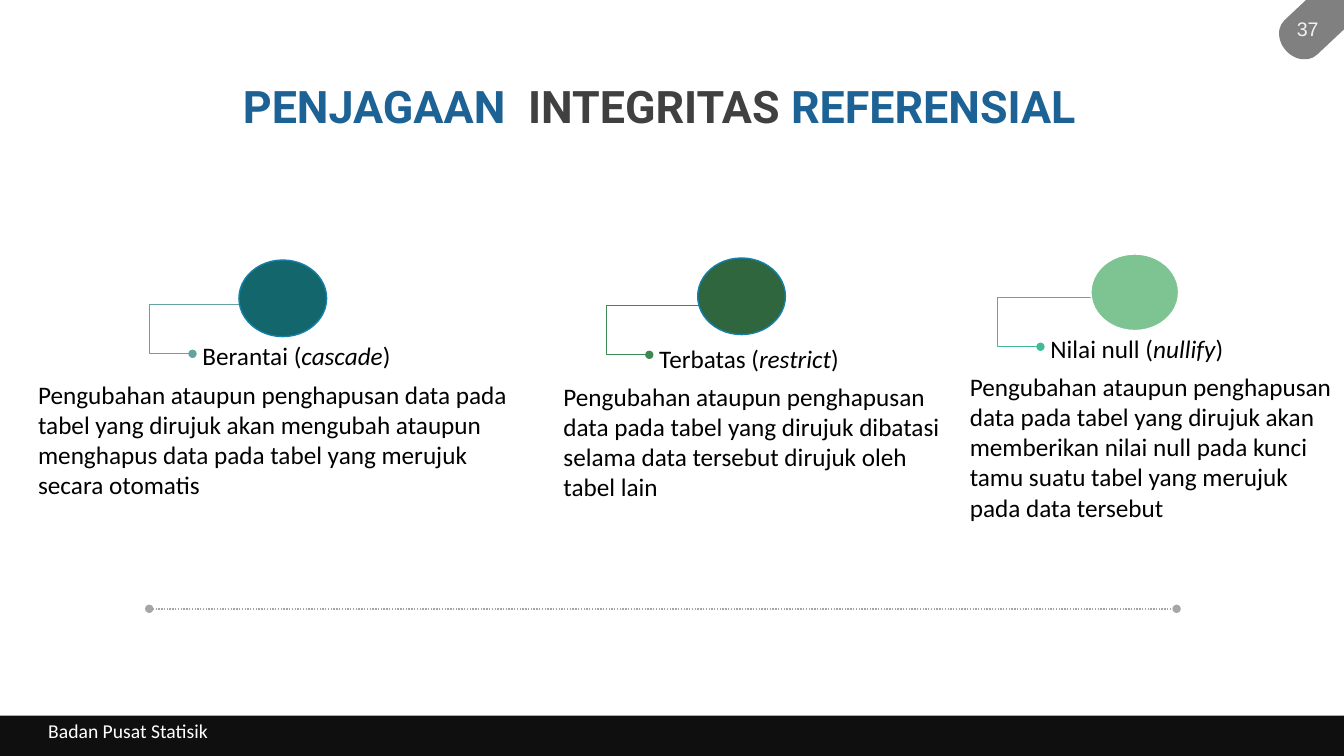
from dataclasses import dataclass

from lxml import etree
from pptx import Presentation
from pptx import util as u
from pptx.dml import color
from pptx.enum import dml, shapes, text
from pptx.oxml import ns


@dataclass(frozen=True)
class Theme:
    heading: str = "Roboto"
    body: str = "Calibri"
    number: str = "Arial"
    title_size: int = 32
    body_size: int = 18
    small_size: int = 14
    blue: str = "1D6294"
    dark: str = "404040"
    black: str = "000000"
    white: str = "FFFFFF"
    bar: str = "0F0F0F"
    badge: str = "808080"
    badge_text: str = "F2F2F2"
    rule: str = "A6A6A6"
    outline: str = "1580A9"


def rgb(value):
    return color.RGBColor.from_string(value)


def add_run(p, content, font, size, fill, bold=False, italic=False):
    r = p.add_run()
    r.text = content
    f = r.font
    f.name, f.size, f.bold, f.italic = font, u.Pt(size), bold, italic
    f.color.rgb = rgb(fill)


class SlideBuilder:
    def __init__(self, prs, theme):
        self.theme = theme
        self.s = prs.slides.add_slide(prs.slide_layouts[5])

    def title(self, box, parts):
        t = self.theme
        sp = self.s.shapes.title
        sp.left, sp.top, sp.width, sp.height = map(u.Inches, box)
        tf = sp.text_frame
        tf.auto_size = text.MSO_AUTO_SIZE.NONE
        tf.word_wrap = True
        tf.vertical_anchor = text.MSO_ANCHOR.TOP
        p = tf.paragraphs[0]
        p.alignment = text.PP_ALIGN.CENTER
        for content, fill in parts:
            add_run(p, content, t.heading, t.title_size, fill, bold=True)

    def shape(self, kind, box, fill, line=None, rotation=0):
        sp = self.s.shapes.add_shape(kind, *map(u.Inches, box))
        sp.shadow.inherit = False
        sp.rotation = rotation
        sp.fill.solid()
        sp.fill.fore_color.rgb = rgb(fill)
        if line:
            sp.line.color.rgb = rgb(line)
            sp.line.width = u.Pt(1)
        else:
            sp.line.fill.background()

    def label(self, box, parts, wrap=True, align=None, spacing=None, **style):
        t = self.theme
        look = dict(font=t.body, size=t.body_size, fill=t.black) | style
        tf = self.s.shapes.add_textbox(*map(u.Inches, box)).text_frame
        tf.word_wrap = wrap
        p = tf.paragraphs[0]
        p.alignment, p.line_spacing = align, spacing
        for content, italic in parts:
            add_run(p, content, italic=italic, **look)

    def connector(self, kind, start, end, fill, width, ends, bend=None, dash=None):
        cx = self.s.shapes.add_connector(kind, *map(u.Inches, start + end))
        cx.line.color.rgb = rgb(fill)
        cx.line.width = u.Pt(width)
        if dash:
            cx.line.dash_style = dash
        props = cx.line._get_or_add_ln()
        for end_name in ends:
            etree.SubElement(props, ns.qn(f"a:{end_name}"), type="oval")
        sp_pr = cx._element.spPr
        etree.SubElement(sp_pr, ns.qn("a:effectLst"))
        if bend:
            guides = sp_pr.find(ns.qn("a:prstGeom")).get_or_add_avLst()
            etree.SubElement(guides, ns.qn("a:gd"), name="adj1",
                             fmla=f"val {round(bend * 100000)}")


def main():
    prs = Presentation()
    prs.slide_width, prs.slide_height = u.Inches(13.33), u.Inches(7.5)
    t = Theme()
    b = SlideBuilder(prs, t)
    kinds, lines = shapes.MSO_SHAPE, shapes.MSO_CONNECTOR

    b.shape(kinds.FLOWCHART_STORED_DATA, (12.6, -0.13, 1.17, 0.47), t.badge,
            rotation=316.8)
    b.label((12.74, 0.12, 0.46, 0.34), [("37", False)], align=text.PP_ALIGN.CENTER,
            font=t.number, size=t.small_size, fill=t.badge_text)
    b.title((1.34, 0.73, 10.4, 0.82),
            [("PENJAGAAN  ", t.blue), ("INTEGRITAS ", t.dark), ("REFERENSIAL", t.blue)])
    b.connector(lines.STRAIGHT, (1.48, 6.04), (11.67, 6.04), t.rule, 1,
                ("headEnd", "tailEnd"), dash=dml.MSO_LINE.ROUND_DOT)

    rules = [
        ("Berantai", "cascade", (1.91, 3.33, 2.09, 0.4), (2.37, 2.58), 3.02,
         "13676C", t.outline, "62A39F", (0.28, 3.71, 4.94, 1.31),
         "Pengubahan ataupun penghapusan data pada tabel yang dirujuk akan mengubah "
         "ataupun menghapus data pada tabel yang merujuk secara otomatis"),
        ("Terbatas", "restrict", (6.44, 3.36, 2, 0.4), (6.92, 2.56), 3.03,
         "2F663E", t.outline, "3E8853", (5.49, 3.73, 4.04, 1.31),
         "Pengubahan ataupun penghapusan data pada tabel yang dirujuk dibatasi selama "
         "data tersebut dirujuk oleh tabel lain"),
        ("Nilai null", "nullify", (10.32, 3.26, 1.94, 0.4), (10.82, 2.52), 2.95,
         "7EC492", t.white, "42BA97", (9.52, 3.63, 3.81, 1.62),
         "Pengubahan ataupun penghapusan data pada tabel yang dirujuk akan memberikan "
         "nilai null pada kunci tamu suatu tabel yang merujuk pada data tersebut"),
    ]
    for name, term, head, circle, y, fill, outline, link, box, body in rules:
        x = head[0]
        b.connector(lines.ELBOW, (x + 0.61, y), (x, y + 0.49), link, 0.5,
                    ("tailEnd",), bend=1.704)
        b.shape(kinds.OVAL, circle + (0.87, 0.76), fill, outline)
        b.label(head, [(f"{name} (", False), (term, True), (")", False)], wrap=False)
        b.label(box, [(body, False)])

    b.shape(kinds.RECTANGLE, (0, 7.1, 13.33, 0.4), t.bar)
    b.label((0.38, 7.11, 1.81, 0.31), [("Badan Pusat Statisik", False)], wrap=False,
            spacing=0.9, size=t.small_size, fill=t.white)
    prs.save("out.pptx")


if __name__ == "__main__":
    main()
